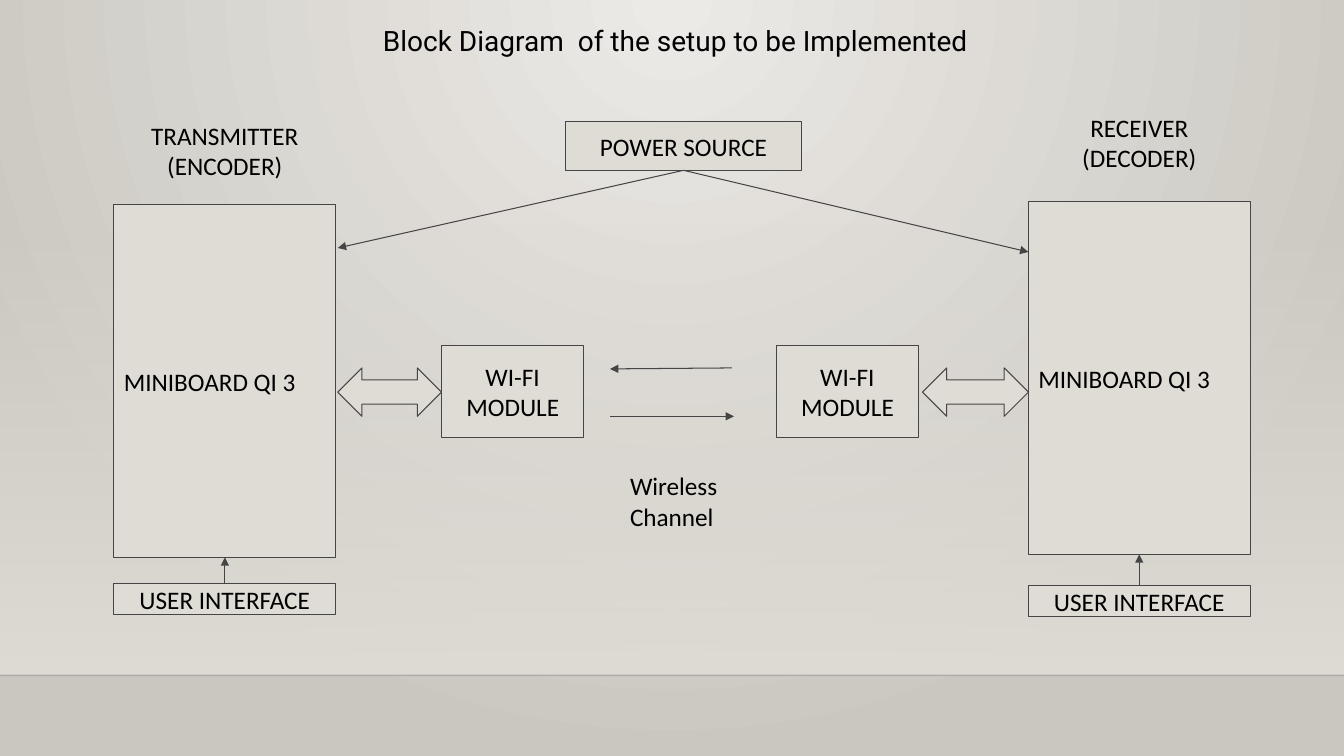
from lxml import etree
from pptx import Presentation
from pptx.dml import color
from pptx.enum import shapes, text
from pptx.oxml import ns
from pptx.util import Inches, Pt

BLACK = "000000"
OUTLINE = "454545"
PANEL = "DFDBD5"


def rgb(value):
    return color.RGBColor.from_string(value)


def add_xml(parent, tag, **attributes):
    return etree.SubElement(parent, ns.qn(tag), attributes)


def write(shape, content, size=18, font="Calibri", align="center",
          anchor="top", inset=0.1, grow=False):
    frame = shape.text_frame
    frame.word_wrap = True
    frame.vertical_anchor = {"top": text.MSO_ANCHOR.TOP,
                             "middle": text.MSO_ANCHOR.MIDDLE}[anchor]
    frame.margin_left = frame.margin_right = Inches(0.1)
    frame.margin_top = frame.margin_bottom = Inches(inset)
    if grow:
        frame.auto_size = text.MSO_AUTO_SIZE.SHAPE_TO_FIT_TEXT
    for index, line in enumerate(content.split("\n")):
        paragraph = frame.add_paragraph() if index else frame.paragraphs[0]
        paragraph.alignment = {"center": text.PP_ALIGN.CENTER,
                               "left": text.PP_ALIGN.LEFT}[align]
        run = paragraph.add_run()
        run.text = line
        run.font.size = Pt(size)
        run.font.name = font
        run.font.color.rgb = rgb(BLACK)


class Diagram:
    def __init__(self, presentation):
        self.slide = presentation.slides.add_slide(presentation.slide_layouts[6])

    def gradient(self, fill, colors):
        fill.gradient()
        for stop, value in zip(fill.gradient_stops, colors):
            stop.color.rgb = rgb(value)

    def background(self, center, edge):
        self.gradient(self.slide.background.fill, (center, edge))
        gradient = self.slide.element.find(".//" + ns.qn("a:gradFill"))
        gradient.remove(gradient.find(ns.qn("a:lin")))
        circle = add_xml(gradient, "a:path", path="circle")
        add_xml(circle, "a:fillToRect", l="43000", t="0", r="43000", b="100000")

    def fade(self, left, top, width, height):
        shape = self.block(left, top, width, height)
        self.gradient(shape.fill, (PANEL, PANEL))
        shape.fill.gradient_angle = 270
        shape.line.fill.background()
        first_color = shape.element.spPr.find(".//" + ns.qn("a:srgbClr"))
        add_xml(first_color, "a:alpha", val="0")

    def block(self, left, top, width, height, content="", align="center",
              kind=shapes.MSO_SHAPE.RECTANGLE):
        shape = self.slide.shapes.add_shape(
            kind, Inches(left), Inches(top), Inches(width), Inches(height))
        shape.shadow.inherit = False
        shape.fill.solid()
        shape.fill.fore_color.rgb = rgb(PANEL)
        shape.line.color.rgb = rgb(OUTLINE)
        shape.line.width = Pt(0.75)
        if content:
            write(shape, content, align=align, anchor="middle")
        return shape

    def label(self, left, top, width, height, content, **style):
        box = self.slide.shapes.add_textbox(
            Inches(left), Inches(top), Inches(width), Inches(height))
        write(box, content, **style)

    def line(self, start, end, value=OUTLINE, width=0.75):
        connector = self.slide.shapes.add_connector(
            shapes.MSO_CONNECTOR.STRAIGHT, *map(Inches, start + end))
        connector.line.color.rgb = rgb(value)
        connector.line.width = Pt(width)
        add_xml(connector.element.spPr, "a:effectLst")
        return connector

    def arrow(self, start, end):
        connector = self.line(start, end)
        add_xml(connector.line._get_or_add_ln(), "a:tailEnd", type="triangle")

    def divider(self, top, width):
        connector = self.line((0, top), (width, top), "000001", 1)
        line_color = connector.element.spPr.find(".//" + ns.qn("a:srgbClr"))
        add_xml(line_color, "a:alpha", val="20000")

    def station(self, left, board_top, interface_top, heading, heading_top):
        self.block(left, board_top, 2.2, 3.5, "MINIBOARD QI 3", align="left")
        self.label(left, heading_top, 2.2, 0.69, heading)
        middle = left + 1.1
        self.arrow((middle, interface_top), (middle, board_top + 3.5))
        self.block(left, interface_top, 2.2, 0.31, "USER INTERFACE")

    def wifi(self, module_left, link_left, link_width):
        self.block(module_left, 3.43, 1.41, 0.91, "WI-FI MODULE")
        self.block(link_left, 3.65, link_width, 0.48,
                   kind=shapes.MSO_SHAPE.LEFT_RIGHT_ARROW)


def main():
    presentation = Presentation()
    presentation.slide_width = Inches(13.33)
    presentation.slide_height = Inches(7.5)

    diagram = Diagram(presentation)
    diagram.background("ECEAE7", "CAC7C1")
    diagram.fade(0, 2.21, 13.33, 4.49)
    diagram.divider(6.7, 13.33)

    diagram.station(1.13, 2.03, 5.79, "TRANSMITTER\n(ENCODER)", 1.09)
    diagram.station(10.2, 2, 5.81, "RECEIVER\n(DECODER)", 1.01)
    diagram.wifi(4.38, 3.35, 1.03)
    diagram.wifi(7.7, 9.15, 1.05)

    diagram.arrow((6.05, 4.13), (7.28, 4.13))
    diagram.arrow((7.26, 3.65), (6.05, 3.66))
    diagram.label(6.15, 4.62, 1.11, 0.71, "Wireless\nChannel",
                  align="left", inset=0.05, grow=True)

    diagram.block(5.61, 1.21, 2.34, 0.48, "POWER SOURCE")
    for target in ((3.35, 2.46), (10.2, 2.5)):
        diagram.arrow((6.78, 1.69), target)

    diagram.label(1.98, 0.18, 9.44, 0.44,
                  "Block Diagram  of the setup to be Implemented",
                  size=20, font="Roboto", inset=0.05, grow=True)
    presentation.save("out.pptx")


if __name__ == "__main__":
    main()
